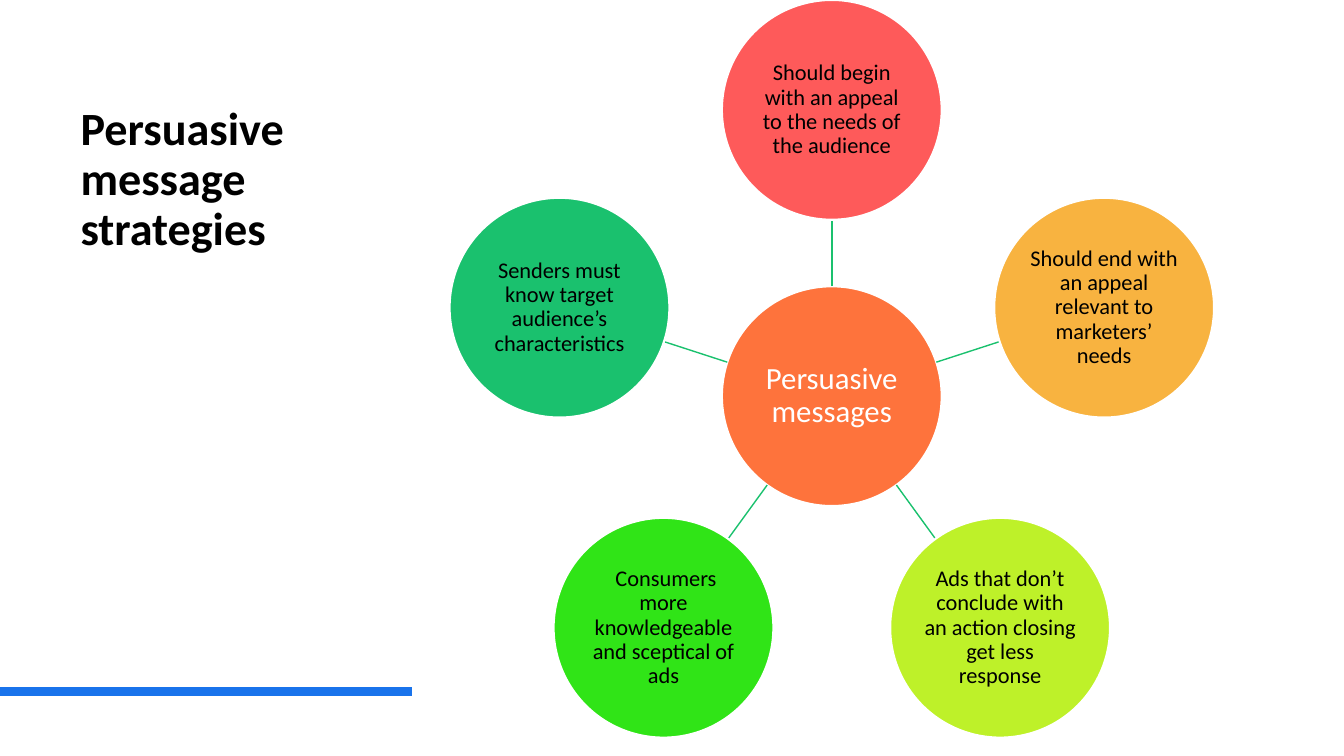
import math
from dataclasses import dataclass

import pptx
import pptx.util
from lxml import etree
from pptx.dml.color import RGBColor
from pptx.enum.shapes import MSO_CONNECTOR, MSO_SHAPE
from pptx.enum.text import MSO_ANCHOR, PP_ALIGN
from pptx.oxml.ns import qn
from pptx.util import Inches, Pt


@dataclass(frozen=True)
class Theme:
    font: str = "Calibri"
    title_size: int = 33
    hub_size: int = 22
    strategy_size: int = 16
    dark: str = "000000"
    light: str = "FFFFFF"
    accent: str = "1973EB"
    hub: str = "FE733C"
    spoke: str = "1AC16E"


THEME = Theme()
HUB_X, HUB_Y = 8.25, 3.93
DIAMETER = 2.18
ORBIT = 2.84

# Clockwise from the top
STRATEGIES = [
    ("Should begin with an appeal to the needs of the audience", "FE5A5A"),
    ("Should end with an appeal relevant to marketers’ needs", "F8B340"),
    ("Ads that don’t conclude with an action closing get less response", "BEF129"),
    (" Consumers more knowledgeable and sceptical of ads", "30E417"),
    ("Senders must know target audience’s characteristics", "1AC16E"),
]


def rgb(value):
    return RGBColor.from_string(value)


def write(tf, text, size, color, align, bold=False):
    tf.word_wrap = True
    p = tf.paragraphs[0]
    p.text = text
    p.alignment = align
    p.line_spacing = 0.9
    p.font.name = THEME.font
    p.font.size = Pt(size)
    p.font.bold = bold
    p.font.color.rgb = rgb(color)


def add_title(s, text):
    sp = s.shapes.add_textbox(Inches(0.7), Inches(1), Inches(3.39), Inches(1.62))
    write(sp.text_frame, text, THEME.title_size, THEME.dark, PP_ALIGN.LEFT, bold=True)


def add_line(s, start, end, color, width):
    points = [Inches(v) for v in (*start, *end)]
    line = s.shapes.add_connector(MSO_CONNECTOR.STRAIGHT, *points)
    line.line.color.rgb = rgb(color)
    line.line.width = Pt(width)
    etree.SubElement(line._element.spPr, qn("a:effectLst"))


def add_circle(s, center, text, fill, size, color, inset):
    x, y = center
    sp = s.shapes.add_shape(
        MSO_SHAPE.OVAL, Inches(x - DIAMETER / 2), Inches(y - DIAMETER / 2),
        Inches(DIAMETER), Inches(DIAMETER))
    sp.shadow.inherit = False
    sp.fill.solid()
    sp.fill.fore_color.rgb = rgb(fill)
    sp.line.color.rgb = rgb(THEME.light)
    sp.line.width = Pt(1.5)
    tf = sp.text_frame
    tf.vertical_anchor = MSO_ANCHOR.MIDDLE
    tf.margin_left = tf.margin_right = Inches(inset)
    tf.margin_top = tf.margin_bottom = Inches(inset)
    write(tf, text, size, color, PP_ALIGN.CENTER)


def around_hub(angle, distance):
    """Point at a distance from the hub centre, angle clockwise from the top."""
    return HUB_X + distance * math.sin(angle), HUB_Y - distance * math.cos(angle)


def add_radial_diagram(s, hub_text, strategies):
    add_circle(s, (HUB_X, HUB_Y), hub_text, THEME.hub, THEME.hub_size, THEME.light, 0.02)
    for i, (text, fill) in enumerate(strategies):
        angle = 2 * math.pi * i / len(strategies)
        add_line(s, around_hub(angle, DIAMETER / 2),
                 around_hub(angle, ORBIT - DIAMETER / 2), THEME.spoke, 1)
        add_circle(s, around_hub(angle, ORBIT), text, fill,
                   THEME.strategy_size, THEME.dark, 0.01)


def main():
    prs = pptx.Presentation()
    prs.slide_width, prs.slide_height = Inches(13.33), Inches(7.5)
    s = prs.slides.add_slide(prs.slide_layouts[6])
    add_title(s, "Persuasive message strategies")
    add_line(s, (0, 6.86), (4.09, 6.86), THEME.accent, 6)
    add_radial_diagram(s, "Persuasive messages", STRATEGIES)
    prs.save("out.pptx")


if __name__ == "__main__":
    main()
